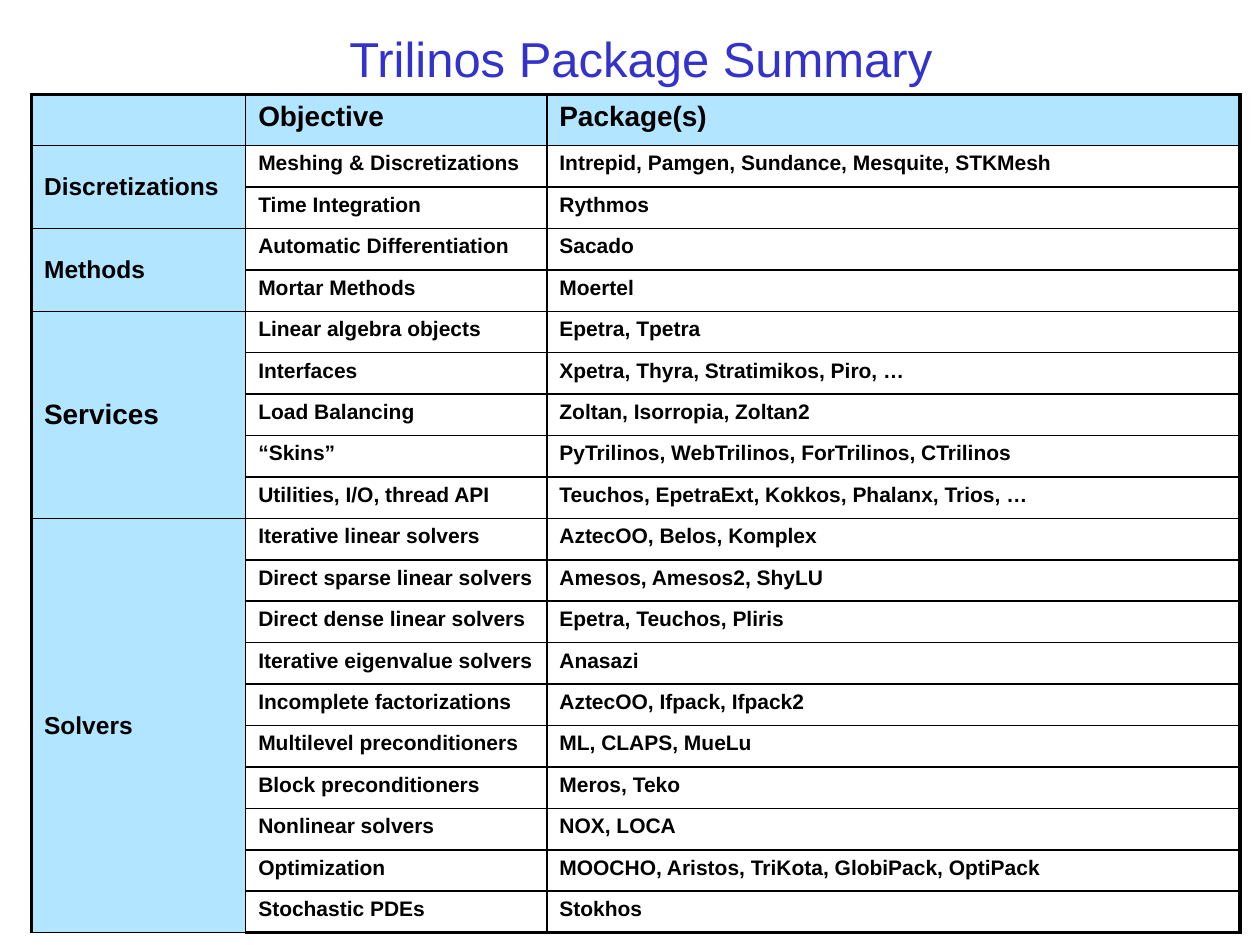
from lxml.etree import SubElement
from pptx import Presentation
from pptx.dml.color import RGBColor
from pptx.enum.text import MSO_ANCHOR, MSO_AUTO_SIZE, PP_ALIGN
from pptx.oxml.ns import qn
from pptx.util import Inches, Pt

COLORS = {"title": "3333CC", "text": "000000", "border": "000000", "heading": "66CCFF"}
FONT = "Arial"
COLUMN_WIDTHS = (1.7, 2.39, 5.5)
HEADER_HEIGHT = 0.4
HEADINGS = ("", "Objective", "Package(s)")

# Category, its text size, and its (objective, packages) rows
CATEGORIES = [
    ("Discretizations", 14, [
        ("Meshing & Discretizations", "Intrepid, Pamgen, Sundance, Mesquite, STKMesh"),
        ("Time Integration", "Rythmos"),
    ]),
    ("Methods", 14, [
        ("Automatic Differentiation", "Sacado"),
        ("Mortar Methods", "Moertel"),
    ]),
    ("Services", 16, [
        ("Linear algebra objects", "Epetra, Tpetra"),
        ("Interfaces", "Xpetra, Thyra, Stratimikos, Piro, …"),
        ("Load Balancing", "Zoltan, Isorropia, Zoltan2"),
        ("“Skins”", "PyTrilinos, WebTrilinos, ForTrilinos, CTrilinos"),
        ("Utilities, I/O, thread API", "Teuchos, EpetraExt, Kokkos, Phalanx, Trios, …"),
    ]),
    ("Solvers", 14, [
        ("Iterative linear solvers", "AztecOO, Belos, Komplex"),
        ("Direct sparse linear solvers", "Amesos, Amesos2, ShyLU"),
        ("Direct dense linear solvers", "Epetra, Teuchos, Pliris"),
        ("Iterative eigenvalue solvers", "Anasazi"),
        ("Incomplete factorizations", "AztecOO, Ifpack, Ifpack2"),
        ("Multilevel preconditioners", "ML, CLAPS, MueLu"),
        ("Block preconditioners", "Meros, Teko"),
        ("Nonlinear solvers", "NOX, LOCA"),
        ("Optimization", "MOOCHO, Aristos, TriKota, GlobiPack, OptiPack"),
        ("Stochastic PDEs", "Stokhos"),
    ]),
]


def style_font(font, size, color, bold=False):
    font.name = FONT
    font.size = Pt(size)
    font.bold = bold
    font.color.rgb = RGBColor.from_string(COLORS[color])


def write_cell(cell, text, size, anchor=MSO_ANCHOR.TOP):
    cell.vertical_anchor = anchor
    paragraph = cell.text_frame.paragraphs[0]
    paragraph.text = text
    paragraph.space_before = Pt(size * 0.2)
    for run in paragraph.runs:
        style_font(run.font, size, "text", bold=True)


def border_cell(cell, outer_sides):
    """Draw all four borders, heavier on the table's outer sides."""
    properties = cell._tc.get_or_add_tcPr()
    for side in "LRTB":
        width = Pt(2.25 if side in outer_sides else 1)
        line = SubElement(properties, qn(f"a:ln{side}"), w=str(width))
        fill = SubElement(line, qn("a:solidFill"))
        SubElement(fill, qn("a:srgbClr"), val=COLORS["border"])


def fill_cell(cell, is_heading):
    if not is_heading:
        cell.fill.background()
        return
    cell.fill.solid()
    cell.fill.fore_color.rgb = RGBColor.from_string(COLORS["heading"])
    color = cell._tc.tcPr.find(f".//{qn('a:solidFill')}/{qn('a:srgbClr')}[@val='{COLORS['heading']}']")
    SubElement(color, qn("a:alpha"), val="50000")


def style_grid(table):
    last_row, last_column = len(table.rows) - 1, len(table.columns) - 1
    for r in range(last_row + 1):
        for c in range(last_column + 1):
            edges = {"L": c == 0, "R": c == last_column, "T": r == 0, "B": r == last_row}
            cell = table.cell(r, c)
            border_cell(cell, [side for side, outer in edges.items() if outer])
            fill_cell(cell, is_heading=r == 0 or c == 0)


def place_title(slide, left, top, width, height):
    title = slide.shapes.title
    title.left, title.top, title.width, title.height = left, top, width, height
    frame = title.text_frame
    frame.text = "Trilinos Package Summary"
    frame.auto_size = MSO_AUTO_SIZE.NONE
    frame.vertical_anchor = MSO_ANCHOR.MIDDLE
    frame.paragraphs[0].alignment = PP_ALIGN.CENTER
    style_font(frame.paragraphs[0].runs[0].font, 28, "title")


def place_packages(slide, left, top, width, height):
    entry_count = sum(len(entries) for _, _, entries in CATEGORIES)
    table = slide.shapes.add_table(
        entry_count + 1, len(HEADINGS), left, top, width, height).table
    for column, column_width in zip(table.columns, COLUMN_WIDTHS):
        column.width = Inches(column_width)
    header_height = Inches(HEADER_HEIGHT)
    for row in table.rows:
        row.height = (height - header_height) // entry_count
    table.rows[0].height = header_height
    style_grid(table)

    for c, heading in enumerate(HEADINGS):
        write_cell(table.cell(0, c), heading, 16)
    first = 1
    for category, size, entries in CATEGORIES:
        category_cell = table.cell(first, 0)
        category_cell.merge(table.cell(first + len(entries) - 1, 0))
        write_cell(category_cell, category, size, MSO_ANCHOR.MIDDLE)
        for r, entry in enumerate(entries, first):
            for c, text in enumerate(entry, 1):
                write_cell(table.cell(r, c), text, 12)
        first += len(entries)


def main():
    prs = Presentation()
    prs.slide_width, prs.slide_height = Inches(10), Inches(7.5)
    slide = prs.slides.add_slide(prs.slide_layouts[5])
    place_title(slide, Inches(0.17), Inches(0.17), Inches(9.83), Inches(0.58))
    place_packages(slide, Inches(0.25), Inches(0.75), Inches(9.58), Inches(6.65))
    prs.save("out.pptx")


if __name__ == "__main__":
    main()
